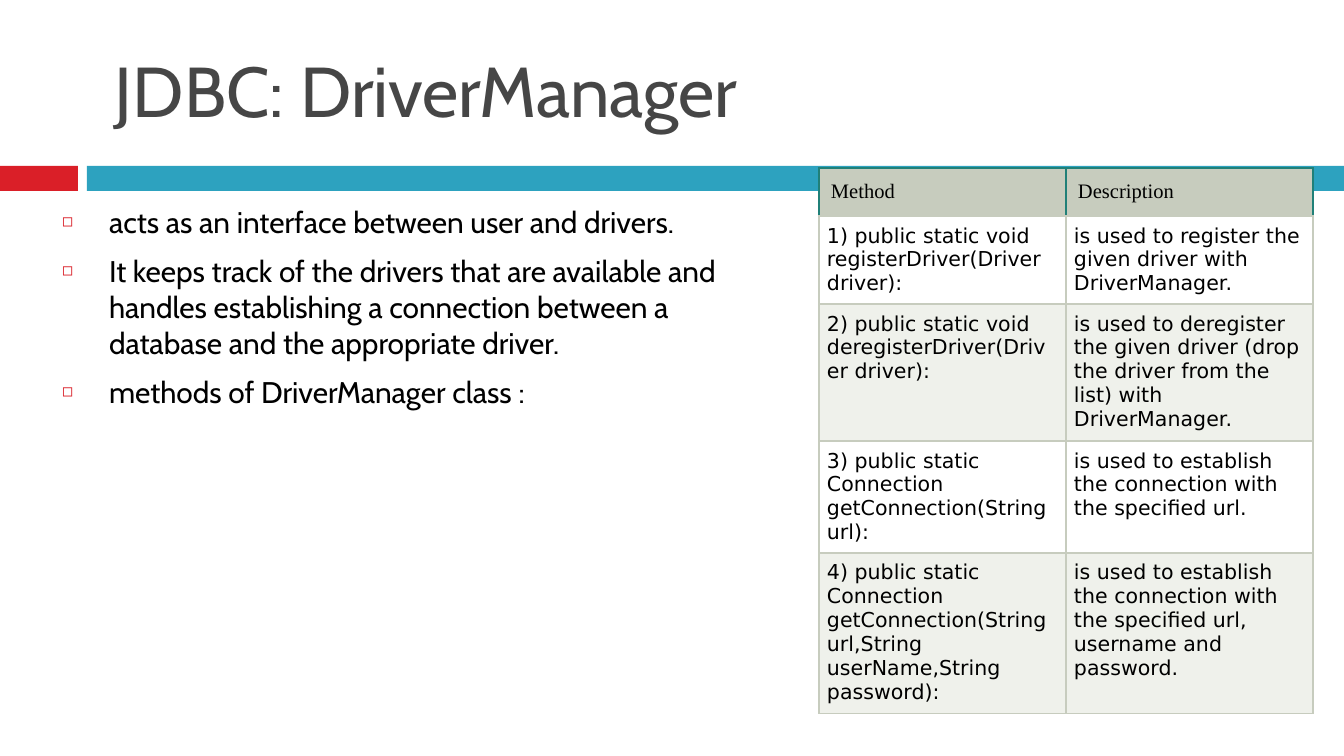
from lxml.etree import SubElement
from pptx import Presentation
from pptx.dml.color import RGBColor
from pptx.enum.shapes import MSO_SHAPE
from pptx.enum.text import MSO_ANCHOR, MSO_AUTO_SIZE, PP_ALIGN
from pptx.oxml.ns import qn
from pptx.util import Emu, Pt

COLORS = {
    "red": "DA1F28",
    "blue": "2DA2BF",
    "title": "464646",
    "text": "000000",
    "head": "C7CCBE",
    "edge": "208078",
    "white": "FFFFFF",
    "band": "EFF1EB",
}
POINTS = [
    "acts as an interface between user and drivers.",
    "It keeps track of the drivers that are available and handles establishing "
    "a connection between a database and the appropriate driver.",
    "methods of DriverManager class :",
]
METHODS = [
    ("Method", "Description"),
    ("1) public static void registerDriver(Driver driver):",
     "is used to register the given driver with DriverManager."),
    ("2) public static void deregisterDriver(Driver driver):",
     "is used to deregister the given driver (drop the driver from the list) "
     "with DriverManager."),
    ("3) public static Connection getConnection(String url):",
     "is used to establish the connection with the specified url."),
    ("4) public static Connection getConnection(String url,String userName,"
     "String password):",
     "is used to establish the connection with the specified url, username "
     "and password."),
]
HEIGHTS = [48, 88, 137, 112, 161]


def px(count):
    return Emu(round(count * 914400 / 134.4))


def color(name):
    return RGBColor.from_string(COLORS[name])


def add_run(para, text, font, size, tint):
    run = para.add_run()
    run.text = text
    run.font.name = font
    run.font.size = Pt(size)
    run.font.color.rgb = color(tint)


def place(shape, box):
    shape.left, shape.top, shape.width, shape.height = map(px, box)


def set_frame(frame, anchor):
    frame.word_wrap = True
    frame.auto_size = MSO_AUTO_SIZE.NONE
    frame.vertical_anchor = anchor
    frame.margin_left = frame.margin_right = px(10)
    frame.margin_top = frame.margin_bottom = px(5)


def add_bars(slide, box):
    left, top, width, height = box
    split, gap = 78, 9
    bars = [(left, split, "red"),
            (left + split + gap, width - split - gap, "blue")]
    for start, span, tint in bars:
        bar = slide.shapes.add_shape(
            MSO_SHAPE.RECTANGLE, px(start), px(top), px(span), px(height))
        bar.shadow.inherit = False
        bar.fill.solid()
        bar.fill.fore_color.rgb = color(tint)
        bar.line.fill.background()


def fill_title(slide, box):
    title = slide.shapes.title
    place(title, box)
    set_frame(title.text_frame, MSO_ANCHOR.BOTTOM)
    para = title.text_frame.paragraphs[0]
    para.alignment = PP_ALIGN.LEFT
    add_run(para, "JDBC: DriverManager", "Cabin", 37.8, "title")


def add_bullet(para):
    props = para._p.get_or_add_pPr()
    props.set("marL", str(px(47)))
    props.set("indent", str(px(-47)))
    tint = SubElement(props, qn("a:buClr"))
    SubElement(tint, qn("a:srgbClr"), val=COLORS["red"])
    SubElement(props, qn("a:buSzPct"), val="60000")
    SubElement(props, qn("a:buChar"), char="◻")


def fill_body(slide, box):
    body = slide.placeholders[1]
    place(body, box)
    frame = body.text_frame
    set_frame(frame, MSO_ANCHOR.TOP)
    for index, text in enumerate(POINTS):
        para = frame.add_paragraph() if index else frame.paragraphs[0]
        para.space_before = Pt(7)
        add_bullet(para)
        add_run(para, text, "Cabin", 16, "text")


def add_edges(cell, tints):
    props = cell._tc.get_or_add_tcPr()
    for side, tint in zip("LRTB", tints):
        line = SubElement(props, qn(f"a:ln{side}"), w=str(Pt(0.75)))
        fill = SubElement(line, qn("a:solidFill"))
        SubElement(fill, qn("a:srgbClr"), val=COLORS[tint])


def fill_cell(cell, text, row):
    if row == 0:
        inset, font, tint = 12, "Times New Roman", "head"
        edges = ["edge", "edge", "edge", "head"]
    else:
        inset, font = 8, "DejaVu Sans"
        tint = "white" if row % 2 else "band"
        edges = ["head"] * 4
    cell.margin_left = cell.margin_right = px(inset)
    cell.margin_top = cell.margin_bottom = px(inset)
    add_edges(cell, edges)
    cell.fill.solid()
    cell.fill.fore_color.rgb = color(tint)
    para = cell.text_frame.paragraphs[0]
    add_run(para, text, font, 11, "text")
    para.runs[0].font.bold = False


def add_methods(slide, box):
    table = slide.shapes.add_table(len(METHODS), 2, *map(px, box)).table
    for column in table.columns:
        column.width = px(box[2] // 2)
    for row, (texts, height) in enumerate(zip(METHODS, HEIGHTS)):
        table.rows[row].height = px(height)
        for col, text in enumerate(texts):
            fill_cell(table.cell(row, col), text, row)


def main():
    deck = Presentation()
    deck.slide_width, deck.slide_height = px(1344), px(756)
    slide = deck.slides.add_slide(deck.slide_layouts[1])
    add_bars(slide, (0, 166, 1344, 25))
    fill_title(slide, (105, 63, 1071, 74))
    fill_body(slide, (52, 199, 694, 598))
    add_methods(slide, (819, 168, 494, sum(HEIGHTS)))
    deck.save("out.pptx")


if __name__ == "__main__":
    main()
